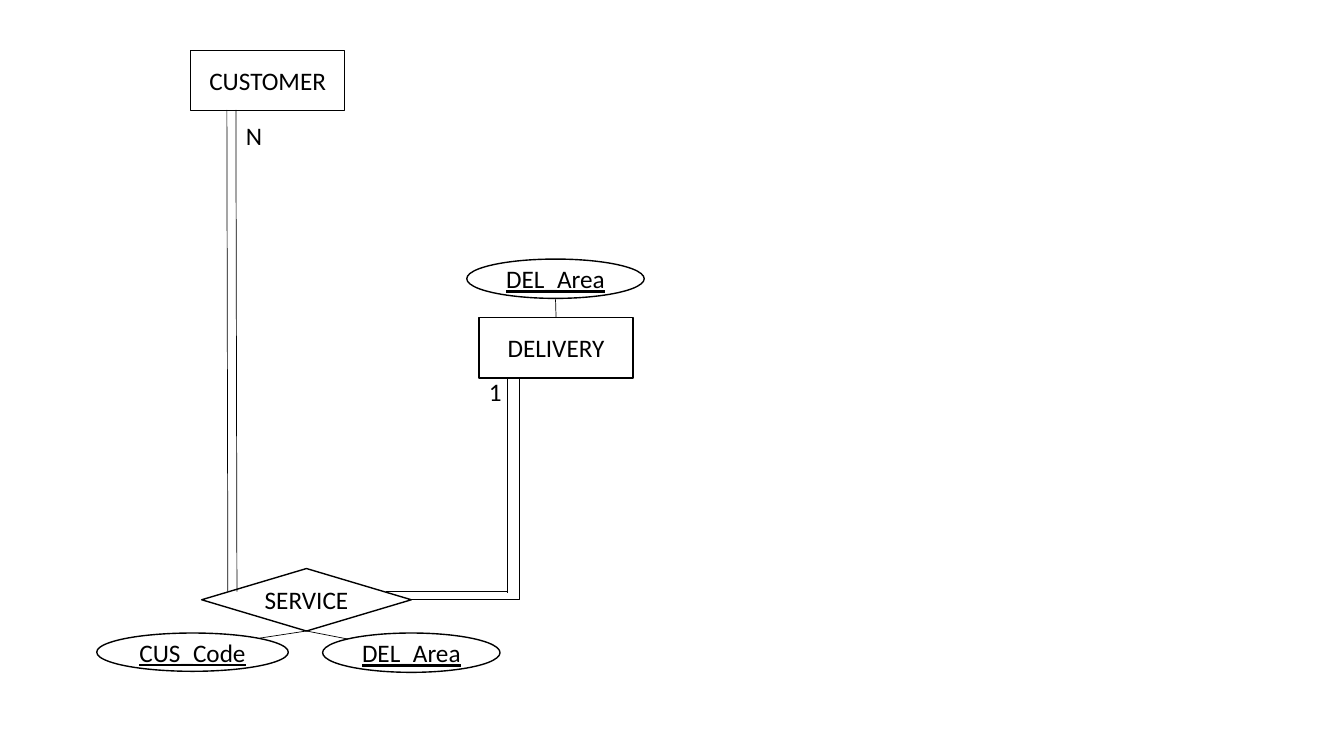
from dataclasses import dataclass

from lxml import etree
from pptx import Presentation
from pptx.dml.color import RGBColor
from pptx.enum.shapes import MSO_CONNECTOR, MSO_SHAPE
from pptx.enum.text import MSO_ANCHOR, MSO_AUTO_SIZE, PP_ALIGN
from pptx.oxml.ns import qn
from pptx.util import Pt

RECTANGLE = MSO_SHAPE.RECTANGLE
DIAMOND = MSO_SHAPE.FLOWCHART_DECISION
ELLIPSE = MSO_SHAPE.OVAL
STRAIGHT = MSO_CONNECTOR.STRAIGHT
ELBOW = MSO_CONNECTOR.ELBOW
MIDDLE = MSO_ANCHOR.MIDDLE
CENTER = PP_ALIGN.CENTER
LEFT = PP_ALIGN.LEFT
GROW = MSO_AUTO_SIZE.SHAPE_TO_FIT_TEXT

EMU_PER_PX = 9144  # 100 px to the inch
TOP, BOTTOM = 0, 2
BLANK_LAYOUT = 6


@dataclass(frozen=True)
class Theme:
    font: str = "Calibri"
    text_size: int = 18
    ink: RGBColor = RGBColor(0x00, 0x00, 0x00)
    paper: RGBColor = RGBColor(0xFF, 0xFF, 0xFF)
    outline: float = 1
    link: float = 0.5


def px(*lengths):
    return [length * EMU_PER_PX for length in lengths]


class Diagram:
    """Draws entity-relationship elements on one slide."""

    def __init__(self, slide, theme):
        self.slide = slide
        self.theme = theme
        background = slide.background.fill
        background.solid()
        background.fore_color.rgb = theme.paper

    def label(self, shape, text, alignment, underline=None):
        paragraph = shape.text_frame.paragraphs[0]
        paragraph.text = text
        paragraph.alignment = alignment
        paragraph.font.name = self.theme.font
        paragraph.font.size = Pt(self.theme.text_size)
        paragraph.font.color.rgb = self.theme.ink
        paragraph.font.underline = underline

    def node(self, kind, text, left, top, width, height, underline=None):
        shape = self.slide.shapes.add_shape(kind, *px(left, top, width, height))
        shape.shadow.inherit = False
        shape.fill.background()
        shape.line.color.rgb = self.theme.ink
        shape.line.width = Pt(self.theme.outline)
        shape.text_frame.word_wrap = True
        shape.text_frame.vertical_anchor = MIDDLE
        self.label(shape, text, CENTER, underline)
        return shape

    def entity(self, text, left, top):
        shape = self.node(RECTANGLE, text, left, top, 153, 60)
        frame = shape.text_frame
        frame.margin_left, frame.margin_right = px(7, 7)
        frame.margin_top, frame.margin_bottom = px(4, 4)
        return shape

    def relationship(self, text, left, top):
        return self.node(DIAMOND, text, left, top, 208, 62)

    def key(self, text, left, top, width, height):
        return self.node(ELLIPSE, text, left, top, width, height, underline=True)

    def cardinality(self, text, left, top):
        box = self.slide.shapes.add_textbox(*px(left, top, 62, 40))
        box.text_frame.word_wrap = True
        box.text_frame.auto_size = GROW
        self.label(box, text, LEFT)

    def link(self, start, end, kind=STRAIGHT):
        connector = self.slide.shapes.add_connector(kind, *px(*start, *end))
        connector.line.color.rgb = self.theme.ink
        connector.line.width = Pt(self.theme.link)
        etree.SubElement(connector._element.spPr, qn("a:effectLst"))
        return connector

    def corner(self, start, end):
        connector = self.link(start, end, ELBOW)
        geometry = connector._element.spPr.find(qn("a:prstGeom"))
        geometry.set("prst", "bentConnector2")  # a single right-angle turn


def main():
    presentation = Presentation()
    presentation.slide_width, presentation.slide_height = px(1333, 750)
    slide = presentation.slides.add_slide(presentation.slide_layouts[BLANK_LAYOUT])
    diagram = Diagram(slide, Theme())

    # Entities and the relationship between them
    diagram.entity("CUSTOMER", 189, 50)
    delivery = diagram.entity("DELIVERY", 475, 315)
    service = diagram.relationship("SERVICE", 200, 564)

    # Cardinalities
    diagram.cardinality("N", 234, 114)
    diagram.cardinality("1", 475, 368)

    # Key attributes
    diagram.key("DEL_Area", 463, 257, 176, 39)
    diagram.key("CUS_Code", 96, 628, 190, 38)
    diagram.key("DEL_Area", 320, 628, 176, 39)

    # Links from the key attributes
    diagram.link((551, 297), (551, 315)).end_connect(delivery, TOP)
    for key_edge in ((258, 633), (345, 634)):
        diagram.link((304, 626), key_edge).begin_connect(service, BOTTOM)

    # Double line from CUSTOMER to SERVICE
    for x in (225, 234):
        diagram.link((x, 109), (x + 1, 587))

    # Double line from SERVICE to DELIVERY
    diagram.corner((408, 595), (515, 374))
    diagram.link((383, 587), (503, 587))
    diagram.link((503, 376), (503, 588))

    presentation.save("out.pptx")


if __name__ == "__main__":
    main()
